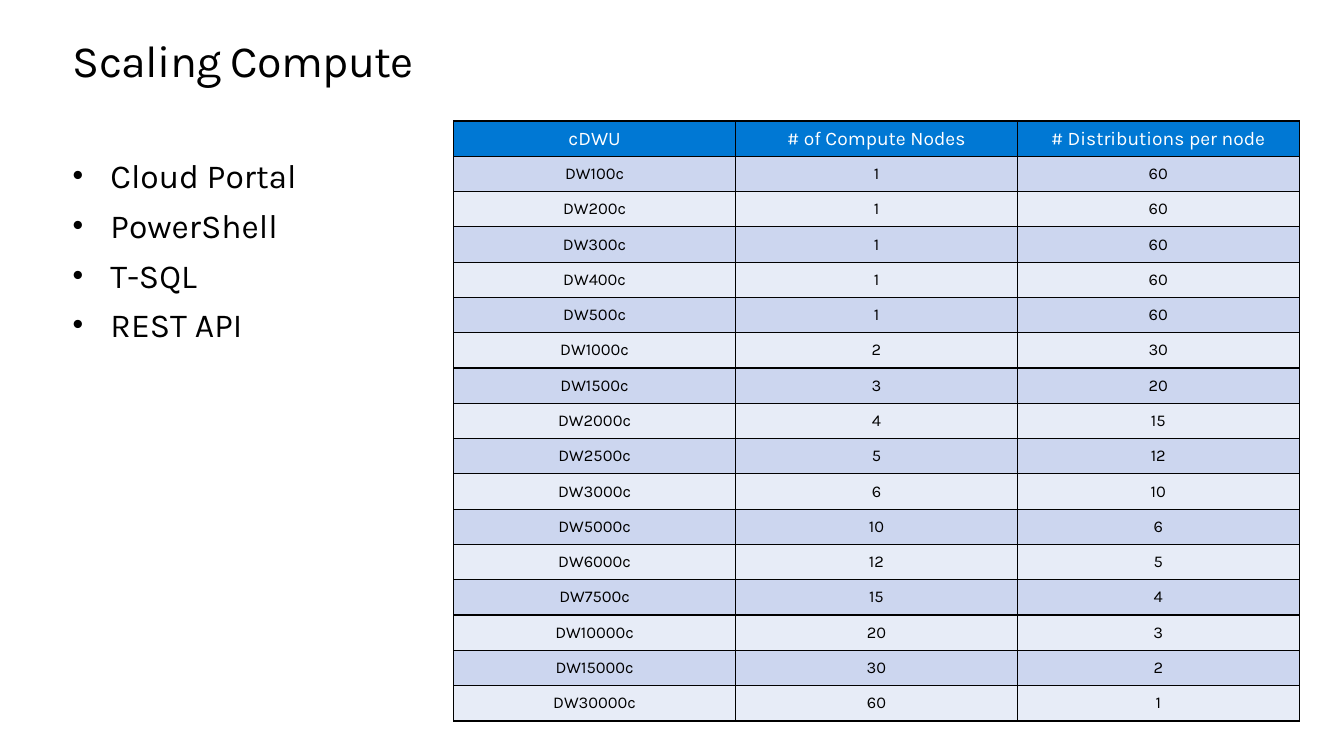
from lxml.etree import SubElement
from pptx import Presentation
from pptx.dml.color import RGBColor
from pptx.enum.shapes import MSO_SHAPE as Preset
from pptx.enum.text import MSO_ANCHOR as Anchor, PP_ALIGN as Align
from pptx.oxml.ns import qn
from pptx.util import Cm, Pt

FONT = "Karla"
BULLET_FONT = "Arial"
BLACK = RGBColor(0x00, 0x00, 0x00)
WHITE = RGBColor(0xFF, 0xFF, 0xFF)
HEADER_BLUE = RGBColor(0x00, 0x78, 0xD4)
BAND_DARK = RGBColor(0xCC, 0xD6, 0xEF)
BAND_LIGHT = RGBColor(0xE7, 0xEC, 0xF7)

TEXT_LEFT = Cm(1.87)
TOOLS = ["Cloud Portal", "PowerShell", "T-SQL", "REST API"]
HEADERS = ["cDWU", "# of Compute Nodes", "# Distributions per node"]
DISTRIBUTIONS = 60
NODES_BY_LEVEL = {
    100: 1, 200: 1, 300: 1, 400: 1, 500: 1, 1000: 2, 1500: 3, 2000: 4,
    2500: 5, 3000: 6, 5000: 10, 6000: 12, 7500: 15, 10000: 20, 15000: 30,
    30000: 60,
}


def style_font(para, size, color):
    para.font.name = FONT
    para.font.size = Pt(size)
    para.font.color.rgb = color


def clear_margins(holder):
    holder.margin_left = holder.margin_right = 0
    holder.margin_top = holder.margin_bottom = 0


def add_title(page, text):
    box = page.shapes.add_shape(
        Preset.RECTANGLE, TEXT_LEFT, Cm(0.91), Cm(30.84), Cm(1.3)
    )
    box.shadow.inherit = False
    box.fill.solid()
    box.fill.fore_color.rgb = WHITE
    box.line.fill.background()
    frame = box.text_frame
    frame.word_wrap = True
    frame.vertical_anchor = Anchor.TOP
    clear_margins(frame)
    para = frame.paragraphs[0]
    span = para.add_run()
    span.text = text
    span.font._element.set("spc", "-50")
    para.alignment = Align.LEFT
    para.line_spacing = Pt(36.9)
    style_font(para, 32.6, BLACK)


def add_bullet(para, indent):
    props = para._p.get_or_add_pPr()
    props.set("marL", str(indent))
    props.set("indent", str(-indent))
    color = SubElement(props, qn("a:buClr"))
    SubElement(color, qn("a:srgbClr"), val=str(BLACK))
    SubElement(props, qn("a:buSzPct"), val="90000")
    SubElement(props, qn("a:buFont"), typeface=BULLET_FONT)
    SubElement(props, qn("a:buChar"), char="•")


def add_bullet_list(page, items):
    box = page.shapes.add_textbox(TEXT_LEFT, Cm(3.99), Cm(7.37), Cm(6.02))
    frame = box.text_frame
    frame.word_wrap = True
    clear_margins(frame)
    for index, item in enumerate(items):
        para = frame.add_paragraph() if index else frame.paragraphs[0]
        para.text = item
        add_bullet(para, Cm(0.97))
        if index:
            para.space_before = Pt(6.8)
        style_font(para, 24.5, BLACK)


def add_borders(cell):
    props = cell._tc.get_or_add_tcPr()
    for side in ("lnL", "lnR", "lnT", "lnB"):
        line = SubElement(props, qn(f"a:{side}"), w=str(Pt(1)))
        fill = SubElement(line, qn("a:solidFill"))
        SubElement(fill, qn("a:srgbClr"), val=str(BLACK))


def fill_cell(cell, text, size, color, background):
    clear_margins(cell)
    cell.vertical_anchor = Anchor.MIDDLE
    add_borders(cell)
    cell.fill.solid()
    cell.fill.fore_color.rgb = background
    cell.text = text
    para = cell.text_frame.paragraphs[0]
    para.alignment = Align.CENTER
    style_font(para, size, color)


def add_scaling_table(page):
    rows = [HEADERS]
    for level, nodes in NODES_BY_LEVEL.items():
        rows.append([f"DW{level}c", str(nodes), str(DISTRIBUTIONS // nodes)])
    table = page.shapes.add_table(
        len(rows), len(HEADERS), Cm(11.66), Cm(3.11), Cm(21.73), Cm(15.42)
    ).table
    for row_index, row in enumerate(rows):
        if row_index == 0:
            style = (14, WHITE, HEADER_BLUE)
        else:
            style = (12, BLACK, BAND_DARK if row_index % 2 else BAND_LIGHT)
        for column_index, text in enumerate(row):
            fill_cell(table.cell(row_index, column_index), text, *style)


def main():
    deck = Presentation()
    deck.slide_width = Cm(34.54)
    deck.slide_height = Cm(19.43)
    page = deck.slides.add_slide(deck.slide_layouts[6])
    add_title(page, "Scaling Compute")
    add_bullet_list(page, TOOLS)
    add_scaling_table(page)
    deck.save("out.pptx")


if __name__ == "__main__":
    main()
